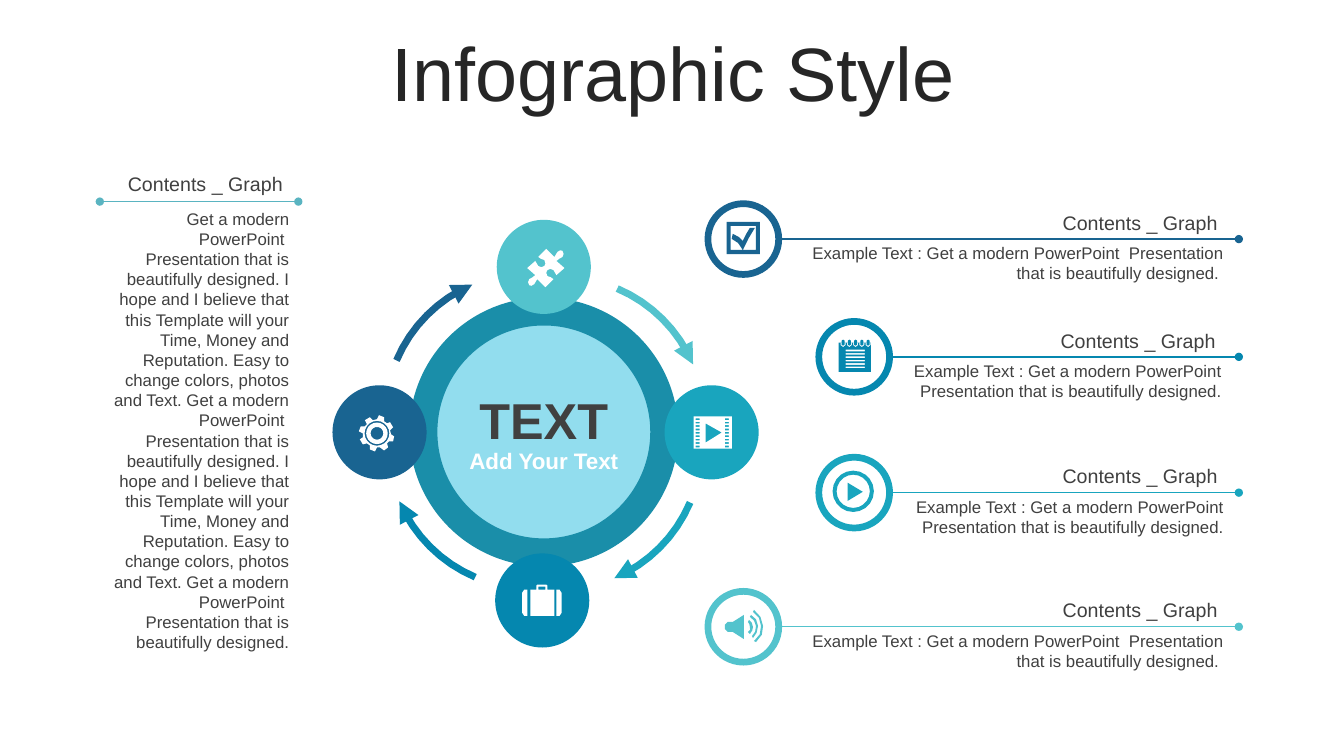
import math

from lxml import etree
from pptx import Presentation
from pptx.dml.color import RGBColor
from pptx.enum import shapes, text
from pptx.oxml import ns
from pptx.util import Pt

NAVY = RGBColor(0x19, 0x64, 0x91)
BLUE = RGBColor(0x05, 0x87, 0xAF)
TEAL = RGBColor(0x19, 0xA5, 0xBE)
AQUA = RGBColor(0x53, 0xC3, 0xCD)
RING = RGBColor(0x1A, 0x8E, 0xA9)
PALE = RGBColor(0x92, 0xDD, 0xEE)
RULE = RGBColor(0x5A, 0xB4, 0xC1)
INK = RGBColor(0x26, 0x26, 0x26)
GREY = RGBColor(0x40, 0x40, 0x40)
WHITE = RGBColor(0xFF, 0xFF, 0xFF)

CENTER, RIGHT = text.PP_ALIGN.CENTER, text.PP_ALIGN.RIGHT
MIDDLE, TOP = text.MSO_ANCHOR.MIDDLE, text.MSO_ANCHOR.TOP
ICON_UNIT = 0.72  # points per icon grid step

HEADING = "Contents _ Graph "
EXAMPLE = "Example Text : Get a modern PowerPoint  Presentation that is beautifully designed. "
INTRO = "Get a modern PowerPoint  Presentation that is beautifully designed."
PITCH = (" I hope and I believe that this Template will your Time, Money and Reputation. "
         "Easy to change colors, photos and Text. ")


# Outlines: a pair is a corner, six numbers are a Bezier segment
def rect(x, y, w, h):
    return [(x, y), (x + w, y), (x + w, y + h), (x, y + h)]


def arc(cx, cy, r, start, end, steps):
    angles = [math.radians(start + (end - start) * i / steps) for i in range(steps + 1)]
    return [(cx + r * math.cos(a), cy + r * math.sin(a)) for a in angles]


def circle(cx, cy, r):
    return arc(cx, cy, r, 0, 342, 19)


def mirror(outline, width, height=None):
    """Reflect in x, and in y too when a height is given."""
    return [tuple(width - v if i % 2 == 0 else v if height is None else height - v
                  for i, v in enumerate(seg)) for seg in outline]


def flatten(outline, steps=2):
    pts = []
    for seg in outline:
        if len(seg) == 2:
            pts.append(seg)
            continue
        ctrl = [pts[-1], seg[:2], seg[2:4], seg[4:]]
        for i in range(1, steps + 1):
            t = i / steps
            weights = ((1 - t) ** 3, 3 * t * (1 - t) ** 2, 3 * t * t * (1 - t), t ** 3)
            pts.append(tuple(sum(w * c[k] for w, c in zip(weights, ctrl)) for k in (0, 1)))
    return pts


# Icons
def puzzle():
    half = [(35, 2), (36, 4, 37, 6, 35, 8), (33, 10, 31, 9, 29, 12), (37, 19), (29, 26),
            (27, 25, 28, 22, 26, 21), (24, 19, 22, 20, 20, 21), (19, 22, 18, 25, 20, 27),
            (23, 29, 24, 27, 26, 30), (18, 38), (10, 30), (8, 32, 9, 33, 7, 35),
            (5, 37, 3, 37, 2, 36)]
    return [half + mirror(half[1:], 37, 38)]


def film():
    holes = [rect(x, 2 + 3.37 * i, 4, 1.7) for x in (2, 31) for i in range(9)]
    return [rect(0, 0, 38, 32), [(12, 7), (12, 26), (28, 16)]] + holes


def briefcase():
    side = [(34, 5), (37, 5), (39, 8), (39, 28), (37, 31), (34, 31)]
    body = [(15, 0), (24, 0), (25, 1), (25, 5), (32, 5), (32, 31), (8, 31), (8, 5), (14, 5), (14, 1)]
    return [side, mirror(side, 39), body, rect(16, 2, 7, 3)]


def gear():
    teeth = [(25, 2), (25, 6), (28, 8), (31, 7), (34, 12), (31, 15), (32, 19), (35, 21),
             (34, 26), (30, 26), (28, 28), (29, 32), (25, 35), (21, 32), (18, 32), (16, 36),
             (11, 34), (11, 30), (8, 28), (4, 29), (1, 24), (4, 22), (4, 18), (0, 16),
             (2, 11), (6, 11), (8, 9), (6, 5), (11, 2), (14, 5), (18, 4), (20, 0)]
    return [teeth] + [circle(18, 18, r) for r in (12.3, 10.7, 6.3)]


def checkbox():
    tick = [(6, 12), (12, 14, 13, 16, 16, 19), (18, 14, 20, 11, 23, 6), (28, 6),
            (24, 12, 19, 21, 16, 28), (13, 24, 10, 17, 5, 17)]
    return [rect(0, 0, 33, 32), rect(4, 4, 25, 24), tick]


def notepad():
    outlines = [rect(0, 3, 32, 29)] + [rect(7, 10 + 3.35 * i, 19, 1.6) for i in range(6)]
    for x in (2 + 6.2 * i for i in range(5)):
        outlines.append([(x, 3), (x + 5, 3), (x + 5, 5.5), (x + 2.5, 7.5), (x, 5.5)])
        outlines.append([(x + 1, 1), (x + 2.5, 0), (x + 4, 1), (x + 4, 5), (x + 2.5, 6), (x + 1, 5)])
    return outlines


def play():
    return [circle(20.5, 20.5, 20.5), circle(20.5, 20.5, 16.5), [(15, 12), (30, 21), (15, 30)]]


def speaker():
    return [
        [(19, 5), (19, 29), (8, 22), (3, 22), (0, 19), (0, 15), (3, 12), (8, 12)],
        [(24, 10), (26, 11, 28, 14, 28, 17), (28, 19, 27, 22, 25, 24), (23, 22),
         (25, 21, 26, 19, 25, 17), (25, 15, 24, 13, 23, 12)],
        [(26, 5), (30, 7, 33, 11, 33, 16), (33, 21, 31, 25, 28, 28), (27, 26),
         (30, 24, 31, 20, 31, 16), (31, 12, 28, 9, 25, 7)],
        [(29, 0), (34, 4, 38, 9, 38, 16), (39, 22, 36, 28, 31, 32), (29, 31),
         (34, 27, 37, 22, 36, 16), (36, 10, 33, 5, 28, 2)]]


# Slide elements
def paint(sp, fill=None, line=None, width=0):
    sp.shadow.inherit = False
    if fill is None:
        sp.fill.background()
    else:
        sp.fill.solid()
        sp.fill.fore_color.rgb = fill
    if line is None:
        sp.line.fill.background()
    else:
        sp.line.color.rgb = line
        sp.line.width = Pt(width)


def add_ends(sp, **ends):
    ln = sp.line._get_or_add_ln()
    for tag, kind in ends.items():
        etree.SubElement(ln, ns.qn(f"a:{tag}"), type=kind)


def add_circle(s, x, y, d, fill, kind=shapes.MSO_SHAPE.OVAL, line=None, width=0):
    sp = s.shapes.add_shape(kind, Pt(x), Pt(y), Pt(d), Pt(d))
    paint(sp, fill, line, width)
    return sp


def add_outline(s, outlines, close=True):
    paths = [[(Pt(x), Pt(y)) for x, y in flatten(o)] for o in outlines]
    builder = s.shapes.build_freeform(*paths[0][0], scale=1.0)
    for i, pts in enumerate(paths):
        if i:
            builder.move_to(*pts[0])
        builder.add_line_segments(pts[1:], close=close)
    return builder.convert_to_shape()


def add_icon(s, outlines, x, y, color):
    placed = [[tuple((y if i % 2 else x) + v * ICON_UNIT for i, v in enumerate(seg))
               for seg in o] for o in outlines]
    paint(add_outline(s, placed), color)


def add_arc_arrow(s, cx, cy, start, color):
    sp = add_outline(s, [arc(cx, cy, 102.2, start, start + 44, 8)], close=False)
    paint(sp, line=color, width=5)
    add_ends(sp, tailEnd="triangle")


def add_rule(s, x1, x2, y, color, **ends):
    cn = s.shapes.add_connector(shapes.MSO_CONNECTOR.STRAIGHT, Pt(x1), Pt(y), Pt(x2), Pt(y))
    cn.line.color.rgb = color
    cn.line.width = Pt(1)
    add_ends(cn, **ends)
    etree.SubElement(cn._element.spPr, ns.qn("a:effectLst"))


def add_text(s, x, y, w, h, words, size, color=GREY, align=RIGHT, anchor=TOP, bold=False):
    tf = s.shapes.add_textbox(Pt(x), Pt(y), Pt(w), Pt(h)).text_frame
    tf.word_wrap = True
    tf.vertical_anchor = anchor
    p = tf.paragraphs[0]
    p.text = words
    p.alignment = align
    p.font.name, p.font.size, p.font.bold = "Arial", Pt(size), bold
    p.font.color.rgb = color
    return p


def add_item(s, ring_x, y, left, right, color, icon, icon_x, icon_y):
    ring = add_circle(s, ring_x, y - 27.7, 55.4, color, shapes.MSO_SHAPE.DONUT)
    ring.adjustments[0] = 0.087
    add_rule(s, ring_x + 55.4, 884.9, y, color, tailEnd="oval")
    add_text(s, left, y - 0.8, right - left, 36, EXAMPLE, 12)
    add_text(s, left, y - 23.8, right - left - 0.5, 24.5, HEADING, 14)
    add_icon(s, icon, icon_x, icon_y, color)


def main():
    prs = Presentation()
    prs.slide_width, prs.slide_height = Pt(960), Pt(540)
    s = prs.slides.add_slide(prs.slide_layouts[6])

    # Title
    p = add_text(s, 25.2, 26.6, 911.5, 56.9, "Infographic Style", 54, INK, CENTER, MIDDLE)
    p.line_spacing, p.space_before = 0.9, Pt(10)

    # Cycle: hub, arrows, four discs
    add_circle(s, 302.4, 222.5, 172.1, PALE, line=RING, width=20)
    arrows = [(398.9, 319, TEAL), (379.4, 318.2, BLUE), (377.3, 297.4, NAVY), (401, 300.2, AQUA)]
    for i, (cx, cy, color) in enumerate(arrows):
        add_arc_arrow(s, cx, cy, 23 + 90 * i, color)
    discs = [(354.8, 157, AQUA, puzzle(), 376.6, 177.8), (353.7, 395.3, BLUE, briefcase(), 373, 417.6),
             (474.7, 275.2, TEAL, film(), 495.4, 297.4), (237.5, 275.2, NAVY, gear(), 256.3, 296.6)]
    for x, y, color, icon, icon_x, icon_y in discs:
        add_circle(s, x, y, 67.2, color)
        add_icon(s, icon, icon_x, icon_y, WHITE)
    add_text(s, 316.8, 276.5, 143.3, 46, "TEXT", 36, GREY, CENTER, MIDDLE, True)
    add_text(s, 316.8, 316.8, 143.3, 24, "Add Your Text", 16, WHITE, CENTER, MIDDLE, True)

    # Items on the right
    add_item(s, 503.3, 170.8, 562.3, 881.3, NAVY, checkbox(), 519.1, 158.4)
    add_item(s, 582.5, 254.9, 644.4, 879.8, BLUE, notepad(), 599, 242.6)
    add_item(s, 582.5, 351.9, 645.8, 881.3, TEAL, play(), 594.7, 336.2)
    add_item(s, 503.3, 447.7, 562.3, 881.3, AQUA, speaker(), 517.7, 435.6)

    # Column on the left
    add_text(s, 72, 145.4, 141.8, 327, INTRO + PITCH + INTRO + PITCH + INTRO, 12)
    add_text(s, 71.3, 119.5, 141.8, 24.5, HEADING, 14)
    add_rule(s, 71.3, 213.1, 144, RULE, headEnd="oval", tailEnd="oval")

    prs.save("out.pptx")


if __name__ == "__main__":
    main()
